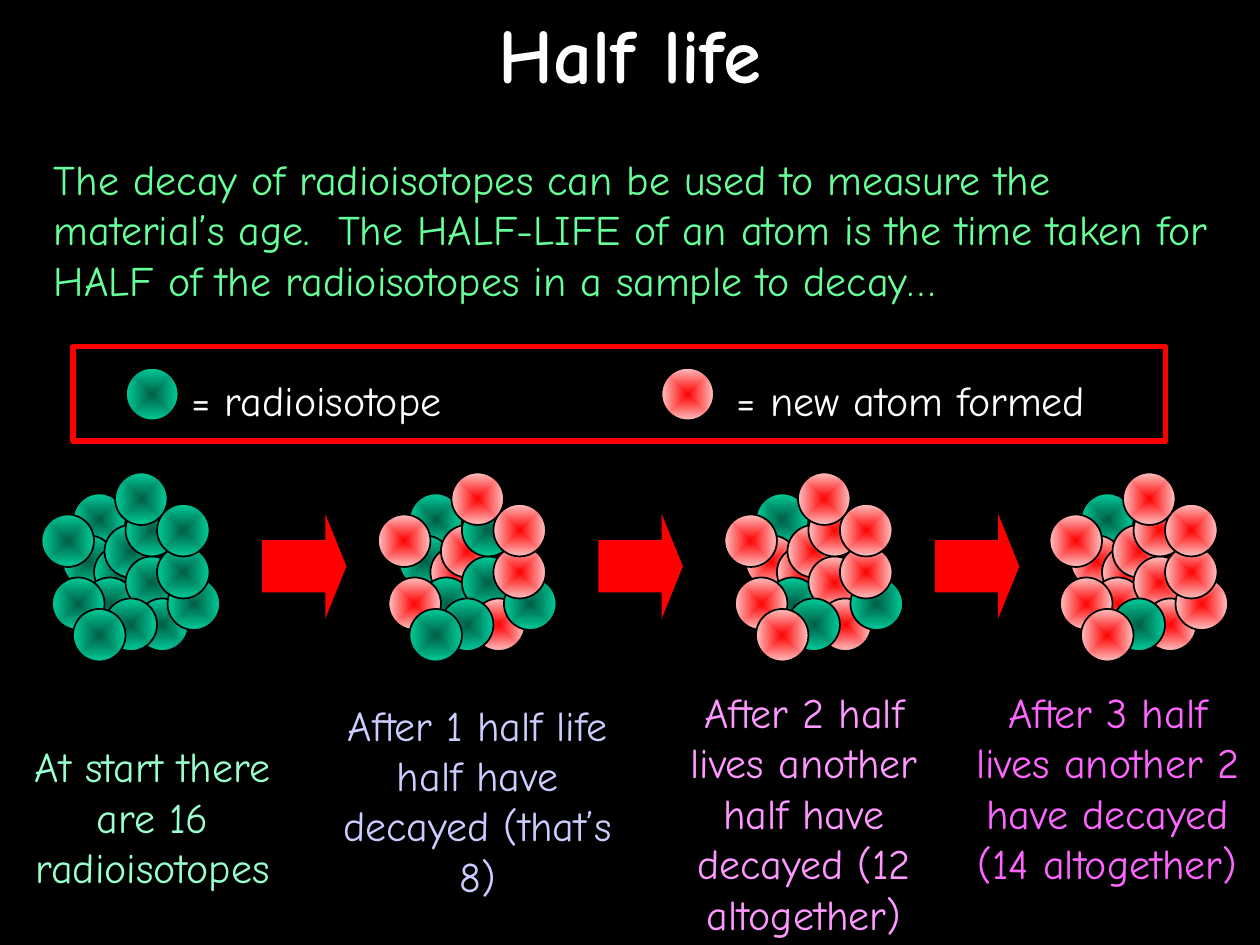
from pptx import Presentation
from pptx.dml.color import RGBColor
from pptx.enum.shapes import MSO_SHAPE
from pptx.enum.text import MSO_ANCHOR, MSO_AUTO_SIZE, PP_ALIGN
from pptx.oxml import parse_xml
from pptx.oxml.ns import nsdecls, qn
from pptx.util import Inches, Pt

COLORS = {
    "black": "000000", "white": "FFFFFF", "red": "FF0000", "intro": "66FF99",
    "start": "99FFCC", "first": "CCCCFF", "second": "FF99FF", "third": "FF66FF",
}
ATOM_COLORS = {"radioisotope": ("005E46", "00CC99"), "new": ("FF0000", "FEC0C0")}

UNIT = 1 / 12  # atoms sit on a grid of twelfths of an inch
ATOM_SIZE = 5 * UNIT
CLUSTER_TOP = 3.75
ATOM_GRID = [
    (3, 2), (2, 6), (5, 7), (6, 5), (4, 10), (0, 4), (1, 10), (8, 8),
    (9, 12), (12, 10), (8, 3), (11, 7), (6, 12), (11, 3), (7, 0), (3, 13),
]
# Cluster left, indices of atoms not yet decayed
CLUSTERS = [
    (0.33, set(range(16))),
    (3, {0, 1, 4, 7, 9, 10, 12, 15}),
    (5.75, {0, 4, 9, 12}),
    (8.33, {0, 12}),
]
# Left, top, height, colour, wording
CAPTIONS = [
    (0, 5.83, 1.3, "start", "At start there are 16 radioisotopes"),
    (2.58, 5.5, 1.7, "first", "After 1 half life half have decayed (that’s 8)"),
    (5.17, 5.4, 2.1, "second",
     "After 2 half lives another half have decayed (12 altogether)"),
    (7.58, 5.4, 1.7, "third",
     "After 3 half lives another 2 have decayed (14 altogether)"),
]
# Kind, atom left, label left, label width, wording
LEGEND = [
    ("radioisotope", 1, 1.42, 3.5, "= radioisotope"),
    ("new", 5.25, 5.75, 3.92, "= new atom formed"),
]


def rgb(name):
    return RGBColor.from_string(COLORS[name])


class SlideBuilder:
    font = "Comic Neue"
    text_size = 24
    title_size = 44

    def __init__(self, deck):
        self.slide = deck.slides.add_slide(deck.slide_layouts[5])
        self.shapes = self.slide.shapes
        background = self.slide.background.fill
        background.solid()
        background.fore_color.rgb = rgb("black")

    def add_words(self, box, text, color, size, align, bold=False):
        frame = box.text_frame
        frame.word_wrap = True
        para = frame.paragraphs[0]
        para.alignment = align
        para.space_before = Pt(0)
        span = para.add_run()
        span.text = text
        span.font.name = self.font
        span.font.size = Pt(size)
        span.font.bold = bold
        span.font.color.rgb = rgb(color)

    def title(self, text):
        box = self.shapes.title
        box.left, box.top = Inches(0), Inches(0)
        box.width, box.height = Inches(10), Inches(0.84)
        box.text_frame.auto_size = MSO_AUTO_SIZE.NONE
        box.text_frame.vertical_anchor = MSO_ANCHOR.MIDDLE
        self.add_words(box, text, "white", self.title_size, PP_ALIGN.CENTER, True)

    def text(self, left, top, width, height, text, color,
             align=PP_ALIGN.LEFT, parent=None):
        box = (parent or self.shapes).add_textbox(
            Inches(left), Inches(top), Inches(width), Inches(height))
        self.add_words(box, text, color, self.text_size, align)
        box.text_frame.auto_size = MSO_AUTO_SIZE.SHAPE_TO_FIT_TEXT

    def shape(self, kind, left, top, width, height, parent=None):
        shape = (parent or self.shapes).add_shape(
            kind, Inches(left), Inches(top), Inches(width), Inches(height))
        shape.shadow.inherit = False
        return shape

    def atom(self, kind, left, top, parent):
        atom = self.shape(MSO_SHAPE.OVAL, left, top, ATOM_SIZE, ATOM_SIZE, parent)
        atom.line.color.rgb = rgb("black")
        atom.line.width = Pt(1)
        atom.fill.gradient()
        for stop, color in zip(atom.fill.gradient_stops, ATOM_COLORS[kind]):
            stop.color.rgb = RGBColor.from_string(color)
        gradient = atom._element.spPr.find(qn("a:gradFill"))
        centred = parse_xml(
            f'<a:path {nsdecls("a")} path="rect">'
            '<a:fillToRect l="50000" t="50000" r="50000" b="50000"/></a:path>')
        gradient.replace(gradient.find(qn("a:lin")), centred)

    def cluster(self, left, remaining):
        group = self.shapes.add_group_shape().shapes
        for index, (column, row) in enumerate(ATOM_GRID):
            kind = "radioisotope" if index in remaining else "new"
            self.atom(kind, left + column * UNIT, CLUSTER_TOP + row * UNIT, group)

    def arrow(self, left):
        arrow = self.shape(MSO_SHAPE.RIGHT_ARROW, left, 4.08, 0.67, 0.83)
        arrow.adjustments[0] = 0.5
        arrow.adjustments[1] = 0.25
        arrow.fill.solid()
        arrow.fill.fore_color.rgb = rgb("red")
        arrow.line.fill.background()

    def legend(self, top):
        group = self.shapes.add_group_shape().shapes
        for kind, atom_left, label_left, width, label in LEGEND:
            self.atom(kind, atom_left, top, group)
            self.text(label_left, top, width, 0.5, label, "white", parent=group)
        frame = self.shape(MSO_SHAPE.RECTANGLE, 0.58, 2.75, 8.67, 0.75, group)
        frame.fill.background()
        frame.line.color.rgb = rgb("red")
        frame.line.width = Pt(3)


def main():
    deck = Presentation()
    deck.slide_width, deck.slide_height = Inches(10), Inches(7.5)
    page = SlideBuilder(deck)
    page.title("Half life")
    page.text(0.33, 1.17, 9.42, 1.3,
              "The decay of radioisotopes can be used to measure the material’s "
              "age.  The HALF-LIFE of an atom is the time taken for HALF of the "
              "radioisotopes in a sample to decay…", "intro")
    for left, remaining in CLUSTERS:
        page.cluster(left, remaining)
    for left in (2.08, 4.75, 7.42):
        page.arrow(left)
    for left, top, height, color, caption in CAPTIONS:
        page.text(left, top, 2.42, height, caption, color, PP_ALIGN.CENTER)
    page.legend(2.92)
    deck.save("out.pptx")


if __name__ == "__main__":
    main()
